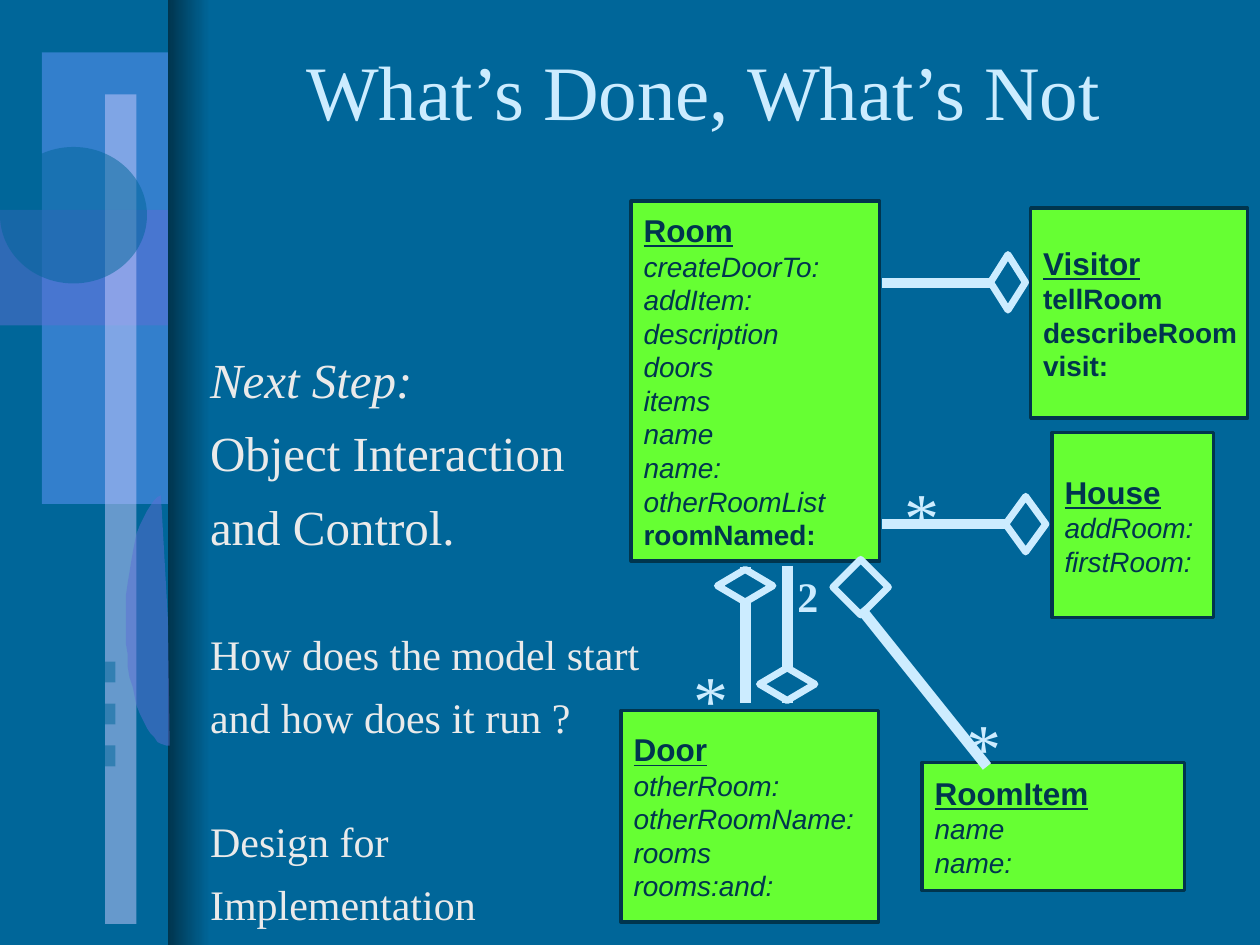
"""Build the slide on what is done and not done in the room model."""
import pptx
import pptx.util
import pptx.dml.color
import pptx.enum.shapes
import pptx.enum.text
import pptx.oxml
import pptx.oxml.ns

Pt = pptx.util.Pt
SHAPE = pptx.enum.shapes.MSO_SHAPE
ANCHOR = pptx.enum.text.MSO_ANCHOR
ALIGN = pptx.enum.text.PP_ALIGN
COLORS = {"back": "006699", "dark": "00354E", "blue": "6699FF", "violet": "5E6FD4",
          "lilac": "CCCCFF", "green": "66FF33", "ice": "CCECFF", "pale": "EAEAEA"}

SERIF, SANS = "Times New Roman", "Arial"
HEAD = {"name": SANS, "size": Pt(18), "bold": True, "underline": True}
DONE = {"name": SANS, "size": Pt(16), "italic": True}
TODO = {"name": SANS, "size": Pt(16), "bold": True}
TITLE = {"name": SERIF, "size": Pt(44)}
STAR = {"name": SERIF, "size": Pt(40)}
COUNT = {"name": SERIF, "size": Pt(24), "bold": True}
LEAD = {"name": SERIF, "size": Pt(28), "italic": True}
STEP = {"name": SERIF, "size": Pt(28)}
ASK = {"name": SERIF, "size": Pt(24)}

PANELS = [
    (SHAPE.RECTANGLE, (24, 30, 72, 258), "blue"),
    (SHAPE.RECTANGLE, (0, 120, 96, 66), "violet"),
    (SHAPE.RECTANGLE, (60, 54, 18, 474), "lilac"),
    (SHAPE.OVAL, (0, 84, 84, 78), "back"),
] + [(SHAPE.RECTANGLE, (0, 378 + 24 * i, 66, 12), "back") for i in range(3)]
ARC = [((97, 426), (84.2, 427), (72.7, 398.2), (72, 360.7)),
       ((72, 360.7), (70.6, 322.6), (79.9, 288.7), (92.2, 283))]

CLASSES = [
    ("House", (601.2, 247.2, 92.2, 105.8), ["addRoom:", "firstRoom:"], []),
    ("Room", (360.7, 115, 142, 205.7),
     ["createDoorTo:", "addItem:", "description", "doors", "items", "name", "name:",
      "otherRoomList"], ["roomNamed:"]),
    ("Door", (355, 406, 147, 121),
     ["otherRoom:", "otherRoomName:", "rooms", "rooms:and:"], []),
    ("Visitor", (589, 119, 124, 120), [], ["tellRoom", "describeRoom", "visit:"]),
    ("RoomItem", (527, 435.6, 150, 73.4), ["name", "name:"], []),
]
LINKS = [
    ("line", (577.5, 299.5, 504, 299.5)), ("diamond", (574.6, 283.7, 23, 31.7)),
    ("line", (426, 324, 426, 402)), ("diamond", (410, 325.4, 31.7, 18.7)),
    ("line", (450, 323.3, 450, 402)), ("diamond", (434, 381.6, 31.7, 18.7)),
    ("diamond", (476, 319.7, 31.7, 31.7)), ("line", (492, 348, 564, 438)),
    ("line", (504, 161.8, 568, 161.8)), ("diamond", (566, 145.5, 20, 31.7)),
]
LABELS = [("*", (509.8, 266.4, 30, 55.4), STAR), ("*", (389, 371, 37.4, 55.4), STAR),
          ("2", (448.6, 322.6, 26.6, 36), COUNT), ("*", (545, 398.2, 37.4, 55.4), STAR)]
BODY = [("Next Step:", LEAD, 0), ("Object Interaction", STEP, 8.4),
        ("and Control.", STEP, 8.4), ("How does the model start", ASK, 42),
        ("and how does it run ?", ASK, 7.2), ("Design for", ASK, 42),
        ("Implementation", ASK, 7.2)]


def rgb(name):
    return pptx.dml.color.RGBColor.from_string(COLORS[name])


def fade(sp):
    color = sp.fill._xPr.find(".//" + pptx.oxml.ns.qn("a:srgbClr"))
    pptx.oxml.ns.nsdecls
    color.append(pptx.oxml.parse_xml(
        "<a:alpha %s val='50000'/>" % pptx.oxml.ns.nsdecls("a")))


def add_shape(slide, kind, box, fill, line=None, width=0):
    sp = slide.shapes.add_shape(kind, *map(Pt, box))
    return paint(sp, fill, line, width)


def paint(sp, fill, line=None, width=0):
    sp.shadow.inherit = False
    sp.fill.solid()
    sp.fill.fore_color.rgb = rgb(fill)
    if line:
        sp.line.color.rgb = rgb(line)
        sp.line.width = Pt(width)
    else:
        sp.line.fill.background()
    return sp


def write(sp, rows, color, anchor=ANCHOR.TOP, align=ALIGN.LEFT):
    tf = sp.text_frame
    frame = {"word_wrap": True, "vertical_anchor": anchor, "margin_left": Pt(7.2),
             "margin_right": Pt(7.2 if align == ALIGN.CENTER else 0),
             "margin_top": Pt(3.6), "margin_bottom": Pt(3.6)}
    for key, value in frame.items():
        setattr(tf, key, value)
    for i, (text, style, before) in enumerate(rows):
        p = tf.add_paragraph() if i else tf.paragraphs[0]
        p.alignment = align
        if before:
            p.space_before = Pt(before)
        r = p.add_run()
        r.text = text
        for key, value in style.items():
            setattr(r.font, key, value)
        r.font.color.rgb = rgb(color)


def add_text(slide, box, rows, color, **layout):
    write(slide.shapes.add_textbox(*map(Pt, box)), rows, color, **layout)


def add_line(slide, ends):
    sp = slide.shapes.add_connector(pptx.enum.shapes.MSO_CONNECTOR.STRAIGHT, *map(Pt, ends))
    sp.line.color.rgb = rgb("ice")
    sp.line.width = Pt(6)
    sp._element.spPr.append(pptx.oxml.parse_xml(
        "<a:effectLst %s/>" % pptx.oxml.ns.nsdecls("a")))


def curve_points(curve, steps=16):
    for i in range(steps + 1):
        t = i / steps
        weights = ((1 - t) ** 3, 3 * t * (1 - t) ** 2, 3 * t * t * (1 - t), t ** 3)
        yield tuple(sum(w * pt[k] for w, pt in zip(weights, curve)) for k in (0, 1))


def add_decoration(slide):
    edge = add_shape(slide, SHAPE.RECTANGLE, (96, 0, 24, 540), "back")
    edge.fill.gradient()
    edge.fill.gradient_angle = 180
    for stop, name in zip(edge.fill.gradient_stops, ("back", "dark")):
        stop.color.rgb = rgb(name)
    for kind, box, name in PANELS:
        fade(add_shape(slide, kind, box, name))
    points = [pt for curve in ARC for pt in curve_points(curve)] + [(96.5, 354)]
    builder = slide.shapes.build_freeform(*points[0], scale=float(Pt(1)))
    builder.add_line_segments(points[1:], close=True)
    fade(paint(builder.convert_to_shape(), "violet"))


def main():
    prs = pptx.Presentation()
    prs.slide_width, prs.slide_height = Pt(720), Pt(540)
    slide = prs.slides.add_slide(prs.slide_layouts[6])
    slide.background.fill.solid()
    slide.background.fill.fore_color.rgb = rgb("back")
    add_decoration(slide)
    add_text(slide, (96, 6, 612, 90), [("What’s Done, What’s Not", TITLE, 0)], "ice",
             anchor=ANCHOR.MIDDLE, align=ALIGN.CENTER)
    for name, box, done, todo in CLASSES:
        rows = [(name, HEAD, 0)] + [(m, DONE, 0) for m in done] + [(m, TODO, 0) for m in todo]
        sp = add_shape(slide, SHAPE.RECTANGLE, box, "green", "dark", 2)
        write(sp, rows, "dark", anchor=ANCHOR.MIDDLE)
    for kind, place in LINKS:
        if kind == "line":
            add_line(slide, place)
        else:
            add_shape(slide, SHAPE.DIAMOND, place, "back", "ice", 4)
    for text, box, style in LABELS:
        add_text(slide, box, [(text, style, 0)], "ice")
    add_text(slide, (113, 196, 260, 331), BODY, "pale")
    prs.save("out.pptx")


if __name__ == "__main__":
    main()
